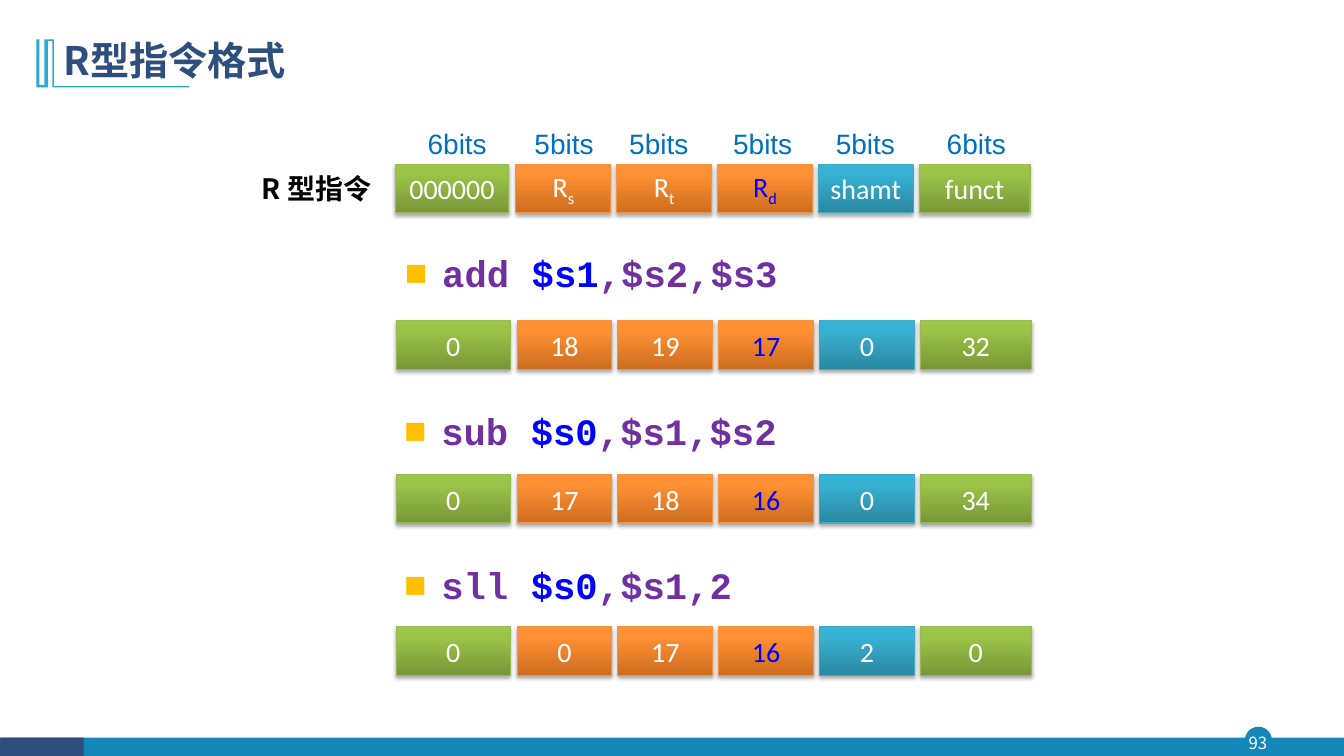
import copy

import lxml.etree
import pptx
import pptx.dml.color
import pptx.enum.shapes
import pptx.enum.text
import pptx.oxml
import pptx.oxml.ns
import pptx.util

Pt = pptx.util.Pt
RGB = pptx.dml.color.RGBColor
qn = pptx.oxml.ns.qn
SHAPE = pptx.enum.shapes.MSO_SHAPE
ALIGN = pptx.enum.text.PP_ALIGN
ANCHOR = pptx.enum.text.MSO_ANCHOR

WHITE = RGB(0xFF, 0xFF, 0xFF)
BLACK = RGB(0x00, 0x00, 0x00)
TEAL = RGB(0x13, 0x87, 0xB7)
NAVY = RGB(0x2E, 0x4E, 0x7E)
SKY = RGB(0x28, 0xA9, 0xD6)
LABEL_BLUE = RGB(0x00, 0x70, 0xC0)
TARGET_BLUE = RGB(0x00, 0x00, 0xFF)
PURPLE = RGB(0x70, 0x30, 0xA0)
# Each field colour: gradient stops from bottom to top, then the outline
GREEN = [RGB(0x77, 0x97, 0x37), RGB(0x9B, 0xC3, 0x48), RGB(0x9D, 0xC7, 0x46), RGB(0x98, 0xB9, 0x55)]
ORANGE = [RGB(0xCC, 0x6E, 0x20), RGB(0xFF, 0x90, 0x34), RGB(0xFF, 0x91, 0x36), RGB(0xF6, 0x92, 0x40)]
CYAN = [RGB(0x2A, 0x88, 0xA2), RGB(0x37, 0xB1, 0xD2), RGB(0x34, 0xB4, 0xD6), RGB(0x46, 0xAA, 0xC5)]

CJK = "Noto Sans CJK SC"
A = 'xmlns:a="http://schemas.openxmlformats.org/drawingml/2006/main"'
SHADOW = (
    f'<a:effectLst {A}><a:outerShdw blurRad="39370" dist="22860" dir="5400000" rotWithShape="0">'
    '<a:srgbClr val="000000"><a:alpha val="35000"/></a:srgbClr></a:outerShdw></a:effectLst>'
)
BULLET = [
    f'<a:buClr {A}><a:srgbClr val="FFC000"/></a:buClr>',
    f'<a:buFont {A} typeface="Arial"/>',
    f'<a:buChar {A} char="■"/>',
]


def add_shape(parent, kind, left, top, width, height, fill):
    shape = parent.shapes.add_shape(kind, Pt(left), Pt(top), Pt(width), Pt(height))
    shape.shadow.inherit = False
    shape.line.fill.background()
    shape.fill.solid()
    shape.fill.fore_color.rgb = fill
    return shape


def write(box, spans, formats, align=ALIGN.CENTER, anchor=ANCHOR.MIDDLE):
    """Fill the box with (text, colour, baseline) spans and return the paragraph."""
    box.text_frame.word_wrap = True
    box.text_frame.vertical_anchor = anchor
    para = box.text_frame.paragraphs[0]
    para.alignment = align
    for text, colour, baseline in spans:
        span = para.add_run()
        span.text = text
        for name, value in formats.items():
            setattr(span.font, name, value)
        span.font.color.rgb = colour
        properties = span.font._element
        if baseline:
            properties.set("baseline", str(baseline))
        east_asian = lxml.etree.SubElement(properties, qn("a:ea"))
        east_asian.set("typeface", formats["name"])
    return para


deck = pptx.Presentation()
deck.slide_width, deck.slide_height = Pt(960), Pt(540)
page = deck.slides.add_slide(deck.slide_layouts[6])

# Footer with page number
add_shape(page, SHAPE.OVAL, 889.2, 519.1, 19.4, 19.4, TEAL)
add_shape(page, SHAPE.RECTANGLE, 0.7, 527, 959.3, 13.5, TEAL)
add_shape(page, SHAPE.RECTANGLE, 0, 527, 59.8, 13.5, NAVY)
number = page.shapes.add_textbox(Pt(887), Pt(519.1), Pt(23), Pt(22.3))
for side in ("left", "top", "right", "bottom"):
    setattr(number.text_frame, f"margin_{side}", 0)
write(number, [("93", WHITE, 0)], {"name": CJK, "size": Pt(12)})

# Title ornament
outline = [
    (38.5, 28.1), (38.5, 61.5), (135, 61.5), (135, 62.4), (37.4, 62.4), (37.4, 29.2),
    (34.2, 29.2), (34.2, 62.4), (25.9, 62.4), (25.9, 28.1), (28.1, 28.1), (28.1, 60.8),
    (31.7, 60.8), (31.7, 28.1),
]
points = [(Pt(x), Pt(y)) for x, y in outline]
builder = page.shapes.build_freeform(*points[0])
builder.add_line_segments(points[1:], close=True)
ornament = builder.convert_to_shape()
ornament.shadow.inherit = False
ornament.line.fill.background()
ornament.fill.solid()
ornament.fill.fore_color.rgb = SKY

# Title
title = page.shapes.add_textbox(Pt(38.2), Pt(20.2), Pt(828), Pt(49))
para = write(title, [("R型指令格式", NAVY, 0)],
             {"name": CJK, "size": Pt(28), "bold": True}, ALIGN.LEFT)
para.line_spacing = 0.9

# Instruction rows: left, top, field texts with optional subscripts
columns = [(0, 81.4, GREEN), (86.4, 67.7, ORANGE), (158.4, 67.7, ORANGE),
           (230.4, 67.7, ORANGE), (302.4, 67.7, CYAN), (374.4, 79.2, GREEN)]
rows = [
    (282.2, 117.4, [("000000",), ("R", "s"), ("R", "t"), ("R", "d"), ("shamt",), ("funct",)]),
    (283, 229, [("0",), ("18",), ("19",), ("17",), ("0",), ("32",)]),
    (283, 339, [("0",), ("17",), ("18",), ("16",), ("0",), ("34",)]),
    (283, 447.8, [("0",), ("0",), ("17",), ("16",), ("2",), ("0",)]),
]
for row_left, top, fields in rows:
    row = page.shapes.add_group_shape()
    for index, ((offset, width, palette), texts) in enumerate(zip(columns, fields)):
        field = add_shape(row, SHAPE.RECTANGLE, row_left + offset, top, width, 34.6, palette[0])
        field.fill.gradient()
        field.fill.gradient_angle = 90
        stop_list = field._element.spPr.find(".//" + qn("a:gsLst"))
        stop_list.append(copy.deepcopy(stop_list[-1]))
        for stop, position, colour in zip(field.fill.gradient_stops, (0, 0.8, 1), palette):
            stop.position = position
            stop.color.rgb = colour
        field.line.color.rgb = palette[3]
        field.line.width = Pt(0.75)
        effects = field._element.spPr.find(qn("a:effectLst"))
        effects.getparent().replace(effects, pptx.oxml.parse_xml(SHADOW))
        colour = TARGET_BLUE if index == 3 else WHITE
        spans = [(text, colour, -25000 * place) for place, text in enumerate(texts)]
        write(field, spans, {"name": "Calibri", "size": Pt(20)})

# Bit widths and row name above and beside the format row
for left, bits in zip((291.6, 367.9, 435.6, 509.8, 583.2, 662.4), (6, 5, 5, 5, 5, 6)):
    label = page.shapes.add_textbox(Pt(left), Pt(87.1), Pt(70), Pt(32.4))
    write(label, [(f"{bits}bits", LABEL_BLUE, 0)],
          {"name": "Arial", "size": Pt(20)}, anchor=ANCHOR.TOP)
row_name = add_shape(page, SHAPE.RECTANGLE, 175, 117.4, 102.2, 34.6, WHITE)
write(row_name, [("R 型指令", BLACK, 0)], {"name": CJK, "size": Pt(20), "bold": True})

# Assembly lines, with the destination register picked out
assembly = [(282.2, 168.5, "add ", "$s1", ",$s2,$s3"),
            (281.5, 281.5, "sub ", "$s0", ",$s1,$s2"),
            (281.5, 391.7, "sll ", "$s0", ",$s1,2")]
for left, top, *parts in assembly:
    line = page.shapes.add_textbox(Pt(left), Pt(top), Pt(450), Pt(39.6))
    spans = [(text, colour, 0) for text, colour in zip(parts, (PURPLE, TARGET_BLUE, PURPLE))]
    para = write(line, spans, {"name": "Courier New", "size": Pt(26.6), "bold": True},
                 ALIGN.LEFT, ANCHOR.TOP)
    para.line_spacing = 1.2
    properties = para._p.get_or_add_pPr()
    properties.set("marL", str(Pt(26.6)))
    properties.set("indent", str(-Pt(26.6)))
    for element in BULLET:
        properties.append(pptx.oxml.parse_xml(element))

deck.save("out.pptx")
